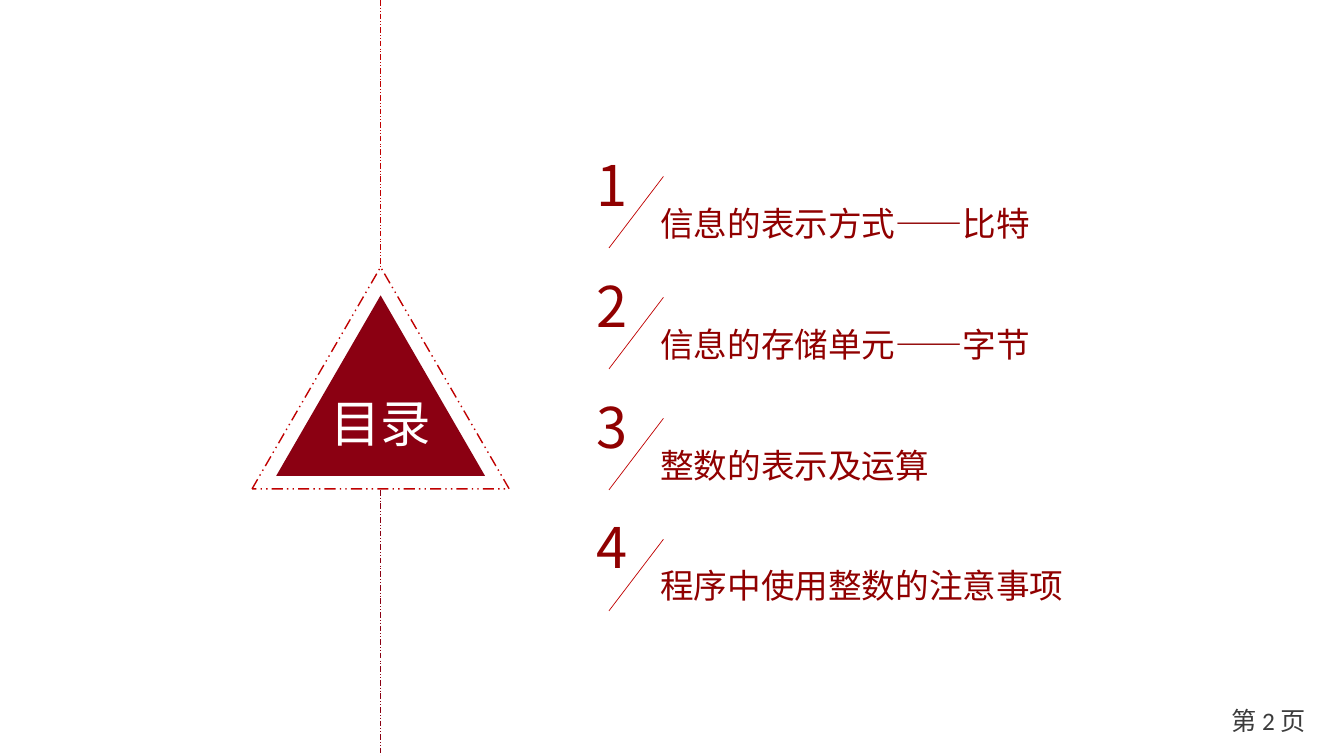
from lxml import etree
from pptx import Presentation, util as u
from pptx.dml.color import RGBColor
from pptx.enum import dml, shapes, text
from pptx.oxml.ns import qn

PX = 9144  # EMU, 100 px to the inch
WIDTH, HEIGHT = 1333, 750
CJK, LATIN = "Noto Sans CJK SC", "Calibri"
CRIMSON, RED, DARK_RED = "8B0012", "C00000", "900000"
WHITE, GREY = "FFFFFF", "3C3C3C"
TOPICS = ["信息的表示方式——比特", "信息的存储单元——字节",
          "整数的表示及运算", "程序中使用整数的注意事项"]


def px(*lengths):
    return [u.Emu(length * PX) for length in lengths]


def color(value):
    return RGBColor.from_string(value)


def style_line(line, shade, width, dashed=False):
    line.color.rgb = color(shade)
    line.width = u.Pt(width)
    if dashed:
        line.dash_style = dml.MSO_LINE.DASH_DOT_DOT


def write(frame, words, size, shade, font=CJK, align=text.PP_ALIGN.LEFT):
    frame.text = words
    frame.word_wrap = True
    paragraph = frame.paragraphs[0]
    paragraph.alignment = align
    for run in paragraph.runs:
        run.font.size = u.Pt(size)
        run.font.color.rgb = color(shade)
        run.font.name = font
        east_asian = etree.SubElement(run.font._element, qn("a:ea"))
        east_asian.set("typeface", CJK)


def add_label(slide, box, words, size):
    frame = slide.shapes.add_textbox(*px(*box)).text_frame
    write(frame, words, size, DARK_RED)
    frame.auto_size = text.MSO_AUTO_SIZE.SHAPE_TO_FIT_TEXT


def add_line(slide, start, end, shade, dashed=False):
    line = slide.shapes.add_connector(
        shapes.MSO_CONNECTOR.STRAIGHT, *px(*start, *end))
    style_line(line.line, shade, 0.5, dashed)
    etree.SubElement(line._element.spPr, qn("a:effectLst"))
    return line


def add_triangle(slide, box):
    triangle = slide.shapes.add_shape(
        shapes.MSO_SHAPE.ISOSCELES_TRIANGLE, *px(*box))
    triangle.shadow.inherit = False
    return triangle


def add_emblem(slide, left, top, width, height):
    """Title triangle in a dashed outline, on a line down the whole slide."""
    center = left + width // 2

    title = add_triangle(slide, (left + 24, top + 28, width - 48, height - 41))
    title.fill.solid()
    title.fill.fore_color.rgb = color(CRIMSON)
    title.line.fill.background()
    frame = title.text_frame
    frame.margin_left = frame.margin_top = frame.margin_right = 0
    frame.margin_bottom = px(16)[0]
    frame.vertical_anchor = text.MSO_ANCHOR.MIDDLE
    write(frame, "目录", 36, WHITE, align=text.PP_ALIGN.CENTER)

    outline = add_triangle(slide, (left, top, width, height))
    outline.fill.background()
    style_line(outline.line, RED, 1, dashed=True)

    upper = add_line(slide, (center, 0), (center, top), RED, dashed=True)
    upper.begin_x = outline.left + outline.width // 2
    upper.end_connect(outline, 0)
    add_line(slide, (center, top + height + 1), (center, HEIGHT), CRIMSON,
             dashed=True)


def add_topic(slide, left, top, number, topic):
    add_label(slide, (left + 63, top + 52, 464, 50), topic, 24)
    add_line(slide, (left + 76, top + 31), (left + 22, top + 102), RED)
    add_label(slide, (left, top, 42, 77), str(number), 40)


def add_contents(slide, left, top, pitch):
    for index, topic in enumerate(TOPICS):
        add_topic(slide, left, top + index * pitch, index + 1, topic)


def add_page_number(slide, box, number):
    frame = slide.shapes.add_textbox(*px(*box)).text_frame
    frame.vertical_anchor = text.MSO_ANCHOR.MIDDLE
    write(frame, f"第 {number} 页", 18, GREY, LATIN, text.PP_ALIGN.RIGHT)


def main():
    deck = Presentation()
    deck.slide_width, deck.slide_height = px(WIDTH, HEIGHT)
    slide = deck.slides.add_slide(deck.slide_layouts[6])
    add_emblem(slide, 250, 265, 255, 220)
    add_contents(slide, 582, 144, 120)
    add_page_number(slide, (1148, 695, 157, 40), 2)
    deck.save("out.pptx")


if __name__ == "__main__":
    main()
